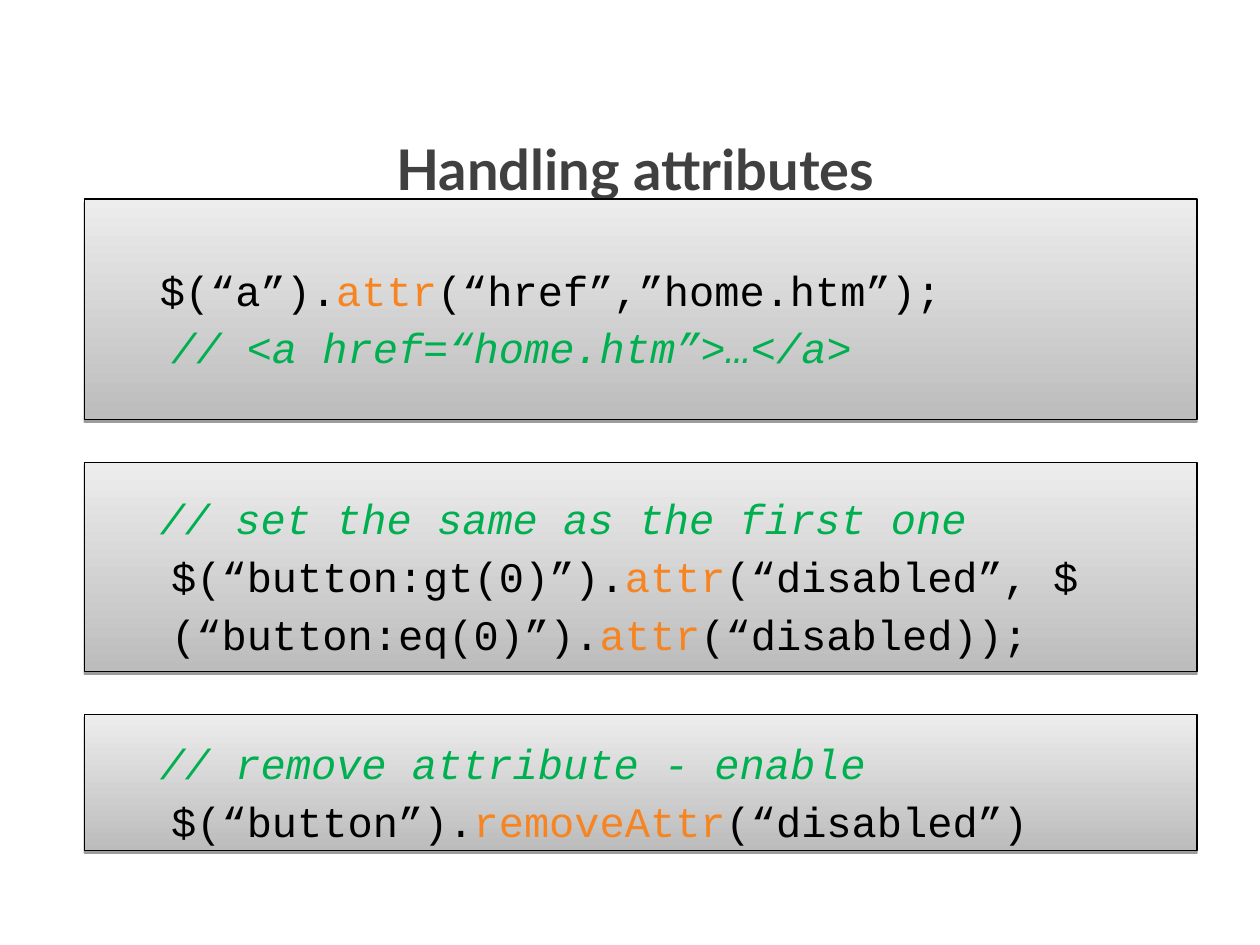
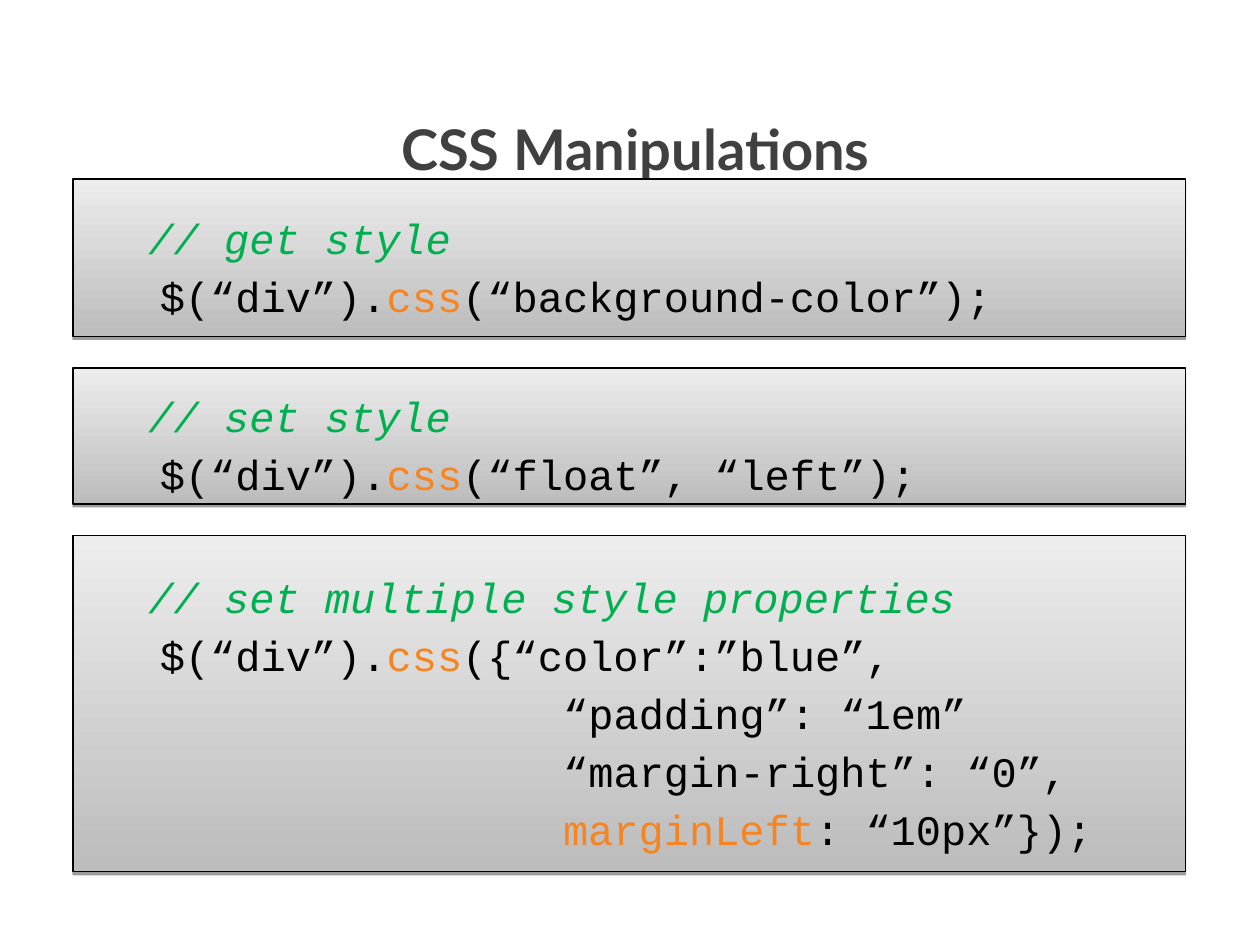
"""Build two slides of jQuery code samples in shaded boxes."""
from lxml import etree
from pptx import Presentation
from pptx.dml.color import RGBColor
from pptx.enum.shapes import MSO_SHAPE as Shape
from pptx.enum.text import MSO_ANCHOR as Anchor, MSO_AUTO_SIZE as AutoSize, PP_ALIGN as Align
from pptx.oxml.ns import qn
from pptx.util import Inches, Pt

TITLE_COLOR = "404040"
CODE_COLOR = "000000"
COMMENT_COLOR = "00B050"
HIGHLIGHT_COLOR = "F68521"
BOX_GRADIENT = ("BCBCBC", "EDEDED")
BOX_WIDTH = 8.83
CODE_INDENT = 0.59
FIRST_LINE_SHIFT = -0.09
TAB_STOP = 7.45

ATTRIBUTE_BOXES = [
    (1.75, ["$(“a”).|attr|(“href”,”home.htm”);",
            "// <a href=“home.htm”>…</a>"]),
    (1.66, ["// set the same as the first one",
            "$(“button:gt(0)”).|attr|(“disabled”,\t$(“button:eq(0)”).|attr|(“disabled));"]),
    (1.08, ["// remove attribute - enable",
            "$(“button”).|removeAttr|(“disabled”)"]),
]
CSS_BOXES = [
    (1.25, ["// get style",
            "$(“div”).|css|(“background-color”);"]),
    (1.08, ["// set style",
            "$(“div”).|css|(“float”, “left”);"]),
    (2.67, ["// set multiple style properties",
            "$(“div”).|css|({“color”:”blue”,",
            "                “padding”: “1em”",
            "                “margin-right”: “0”,",
            "                |marginLeft|: “10px”});"]),
]


def rgb(value):
    return RGBColor.from_string(value)


def set_font(run, name, size, color, bold=False, italic=False):
    font = run.font
    font.name = name
    font.size = Pt(size)
    font.bold = bold
    font.italic = italic
    font.color.rgb = rgb(color)


def set_frame(text_frame, anchor, top_margin):
    text_frame.word_wrap = True
    text_frame.auto_size = AutoSize.NONE
    text_frame.vertical_anchor = anchor
    text_frame.margin_top = Inches(top_margin)
    text_frame.margin_bottom = Inches(0.05)


def add_title(slide, text, top):
    title = slide.shapes.title
    title.left, title.top = Inches(0.42), Inches(top)
    title.width, title.height = Inches(9.25), Inches(0.92)
    set_frame(title.text_frame, Anchor.TOP, 0.16)
    title.text_frame.text = text
    paragraph = title.text_frame.paragraphs[0]
    paragraph.alignment = Align.CENTER
    paragraph.line_spacing = 1.15
    paragraph.space_before = Pt(0)
    set_font(paragraph.runs[0], "Lato", 32, TITLE_COLOR, bold=True)


def add_shadow(shape):
    shape.shadow.inherit = False
    effects = shape._element.spPr.find(qn("a:effectLst"))
    shadow = etree.SubElement(effects, qn("a:outerShdw"), blurRad="0", dist=str(Pt(1.6)),
                              dir="5400000", rotWithShape="0")
    color = etree.SubElement(shadow, qn("a:srgbClr"), val="000000")
    etree.SubElement(color, qn("a:alpha"), val="38000")


def indent_code(paragraph):
    properties = paragraph._p.get_or_add_pPr()
    properties.set("marL", str(Inches(CODE_INDENT)))
    properties.set("indent", str(Inches(FIRST_LINE_SHIFT)))
    tabs = etree.SubElement(properties, qn("a:tabLst"))
    etree.SubElement(tabs, qn("a:tab"), pos=str(Inches(TAB_STOP)), algn="l")


def write_code(paragraph, lines):
    for number, line in enumerate(lines):
        if number:
            paragraph.add_line_break()
        is_comment = line.startswith("//")
        plain_color = COMMENT_COLOR if is_comment else CODE_COLOR
        for index, part in enumerate(line.split("|")):
            run = paragraph.add_run()
            run.text = part
            color = HIGHLIGHT_COLOR if index % 2 else plain_color
            set_font(run, "Courier New", 24, color, italic=is_comment)


def add_code_box(slide, left, top, height, lines):
    box = slide.shapes.add_shape(Shape.RECTANGLE, Inches(left), Inches(top),
                                 Inches(BOX_WIDTH), Inches(height))
    box.fill.gradient()
    box.fill.gradient_angle = 90
    for stop, color in zip(box.fill.gradient_stops, BOX_GRADIENT):
        stop.color.rgb = rgb(color)
    box.line.color.rgb = rgb("000000")
    box.line.width = Pt(0.75)
    add_shadow(box)
    set_frame(box.text_frame, Anchor.MIDDLE, 0.13)
    paragraph = box.text_frame.paragraphs[0]
    indent_code(paragraph)
    paragraph.alignment = Align.LEFT
    paragraph.line_spacing = 1.15
    write_code(paragraph, lines)


def add_code_slide(presentation, title, title_top, left, top, gap, boxes):
    slide = presentation.slides.add_slide(presentation.slide_layouts[5])
    add_title(slide, title, title_top)
    for height, lines in boxes:
        add_code_box(slide, left, top, height, lines)
        top += height + gap


def main():
    presentation = Presentation()
    presentation.slide_width, presentation.slide_height = Inches(10), Inches(7.5)
    add_code_slide(presentation, "Handling attributes", 0.83, 0.67, 1.58, 0.34, ATTRIBUTE_BOXES)
    add_code_slide(presentation, "CSS Manipulations", 0.67, 0.58, 1.42, 0.25, CSS_BOXES)
    presentation.save("out.pptx")


if __name__ == "__main__":
    main()
